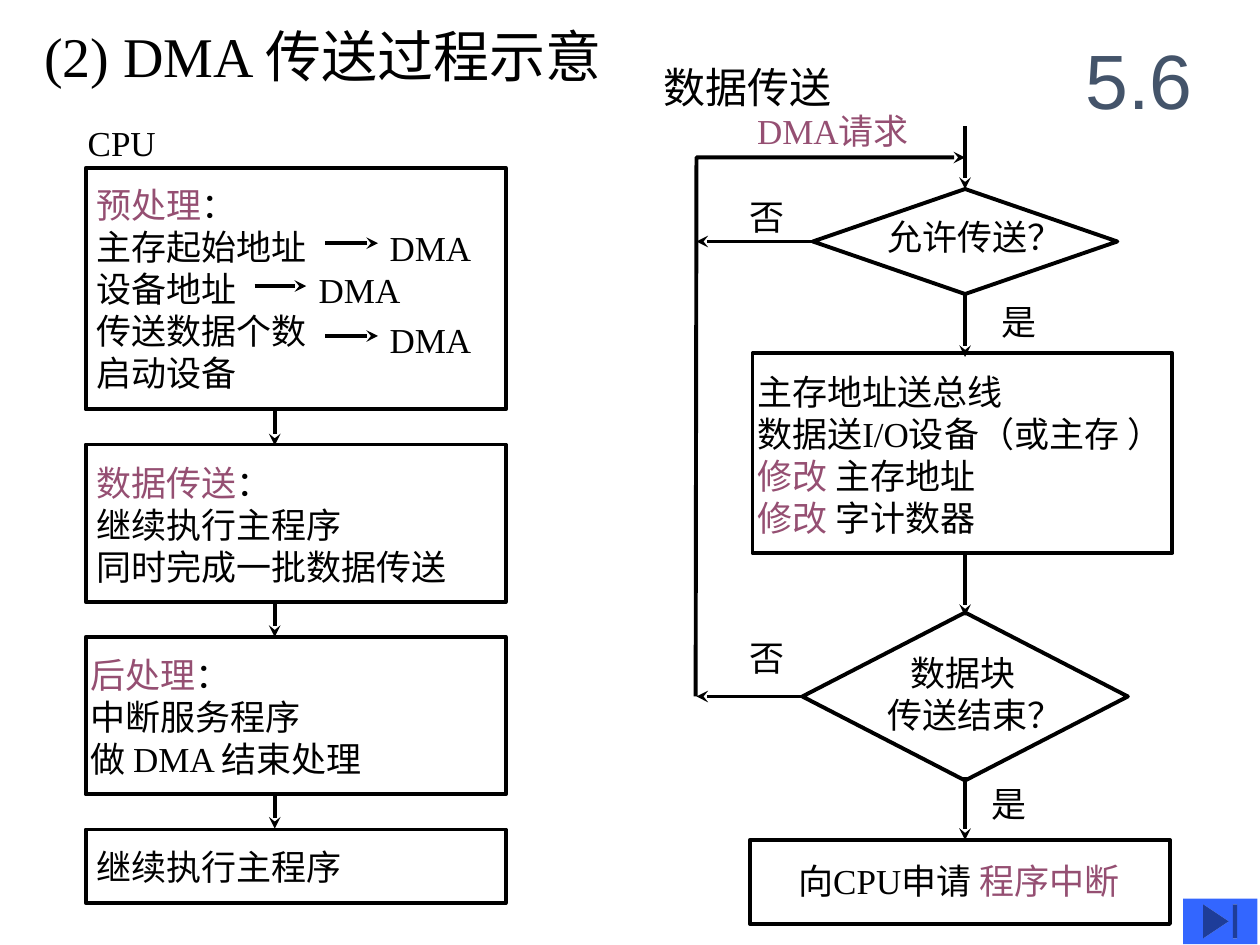
from typing import NamedTuple

from lxml import etree
from pptx import Presentation
from pptx.dml.color import RGBColor
from pptx.enum.shapes import MSO_CONNECTOR, MSO_SHAPE
from pptx.enum.text import MSO_ANCHOR, MSO_AUTO_SIZE, PP_ALIGN
from pptx.oxml.ns import qn
from pptx.util import Pt

RECT, DIAMOND = MSO_SHAPE.RECTANGLE, MSO_SHAPE.DIAMOND
BUTTON = MSO_SHAPE.ACTION_BUTTON_END
STRAIGHT = MSO_CONNECTOR.STRAIGHT
TOP, MIDDLE = MSO_ANCHOR.TOP, MSO_ANCHOR.MIDDLE
LEFT, CENTER = PP_ALIGN.LEFT, PP_ALIGN.CENTER
FIXED = MSO_AUTO_SIZE.NONE
BLACK, ACCENT, SLATE, BLUE = "000000", "954F72", "44546A", "3366FF"
SERIF, SANS = "Times New Roman", "Arial"
STROKE = 2.25
SLACK = 4                    # spare label width, so that no line breaks
LEFT_X, LEFT_W = 49, 240     # boxes of the CPU column
STEP_X, FLOW_X = 157, 551.5  # vertical arrows of each column
LOOP_X = 398                 # return path


class Box(NamedTuple):
    kind: int
    x: float
    y: float
    w: float
    h: float


class Label(NamedTuple):
    x: float
    y: float
    w: float
    lines: list[str]  # text between bars takes the accent colour
    size: float = 20
    indent: float = 0  # indent of the first line


class Arrow(NamedTuple):
    x1: float
    y1: float
    x2: float
    y2: float


BOXES = [
    Box(RECT, LEFT_X, 96, LEFT_W, 138),
    Box(RECT, LEFT_X, 254, LEFT_W, 90),
    Box(RECT, LEFT_X, 364, LEFT_W, 90),
    Box(RECT, LEFT_X, 474, LEFT_W, 42),
    Box(DIAMOND, 464.5, 108, 174, 60),
    Box(RECT, 430, 202, 240, 114),
    Box(DIAMOND, 458.5, 350, 186, 96),
    Box(RECT, 428.5, 480, 240, 48),
]

LABELS = [
    # CPU column
    Label(43, 66, 53, ["CPU"]),
    Label(48, 101.5, 135, ["|预处理|：", "主存起始地址", "设备地址",
                           "传送数据个数", "启动设备"]),
    Label(215.5, 126, 61, ["DMA"]),
    Label(175, 150, 61, ["DMA"]),
    Label(215.5, 178.5, 61, ["DMA"]),
    Label(48, 260, 214.5, ["|数据传送|：", "继续执行主程序", "同时完成一批数据传送"]),
    Label(44.5, 370, 180, ["|后处理|：", "中断服务程序", "做 DMA 结束处理"]),
    Label(48, 479.5, 155, ["继续执行主程序"]),
    # Transfer column
    Label(372, 31.5, 110, ["数据传送"], 24),
    Label(425.5, 59, 106, ["|DMA请求|"]),
    Label(500, 119.5, 114.5, ["允许传送？"]),
    Label(425.5, 208, 255.5, ["主存地址送总线", "数据送I/O设备（或主存 ）",
                              "|修改| 主存地址", "|修改| 字计数器"]),
    Label(500, 368.5, 114.5, ["数据块", "传送结束？"], indent=13),
    Label(449, 487.5, 207.5, ["向CPU申请 |程序中断|"]),
    Label(421, 108, 34.5, ["否"]),
    Label(421, 360, 34.5, ["否"]),
    Label(565, 168, 34.5, ["是"]),
    Label(559.5, 443.5, 34.5, ["是"]),
]

ARROWS = [
    Arrow(186, 139, 216, 139),
    Arrow(145.5, 163.5, 175, 163.5),
    Arrow(186, 192, 216, 192),
    *(Arrow(STEP_X, y, STEP_X, y + 20.5) for y in (234, 343.5, 453)),
    *(Arrow(FLOW_X, y, FLOW_X, y + 36) for y in (72, 168, 316, 444)),
    Arrow(464.5, 138, LOOP_X, 138),
    Arrow(459, 398, LOOP_X, 398),
]


def color(code: str) -> RGBColor:
    return RGBColor.from_string(code)


def style(font, size: float, code: str, face: str = SERIF) -> None:
    font.size, font.name, font.bold = Pt(size), face, False
    font.color.rgb = color(code)


def ink(line) -> None:
    line.color.rgb = color(BLACK)
    line.width = Pt(STROKE)


def add_head(shape) -> None:
    line = shape.line._get_or_add_ln()
    etree.SubElement(line, qn("a:tailEnd"), type="stealth")


def draw_box(shapes, box: Box):
    shape = shapes.add_shape(box.kind, *map(Pt, box[1:]))
    shape.shadow.inherit = False
    shape.fill.background()
    ink(shape.line)
    return shape


def draw_arrow(shapes, arrow: Arrow) -> None:
    line = shapes.add_connector(STRAIGHT, *map(Pt, arrow))
    ink(line.line)
    add_head(line)
    etree.SubElement(line._element.spPr, qn("a:effectLst"))


def draw_loop(shapes, points: list[tuple[float, float]]) -> None:
    spots = [(Pt(x), Pt(y)) for x, y in points]
    build = shapes.build_freeform(*spots[0])
    build.add_line_segments(spots[1:], close=False)
    shape = build.convert_to_shape()
    shape.shadow.inherit = False
    shape.fill.background()
    ink(shape.line)
    add_head(shape)


def draw_label(shapes, label: Label) -> None:
    wide = label.w + SLACK
    high = len(label.lines) * label.size * 1.2 + 7.2
    area = shapes.add_textbox(*map(Pt, (label.x, label.y, wide, high)))
    frame = area.text_frame
    frame.word_wrap = False
    for i, text in enumerate(label.lines):
        para = frame.paragraphs[0] if i == 0 else frame.add_paragraph()
        if i == 0 and label.indent:
            para._p.get_or_add_pPr().set("marL", str(Pt(label.indent)))
        parts = [(part, ACCENT if n % 2 else BLACK)
                 for n, part in enumerate(text.split("|")) if part]
        style(para.font, label.size, parts[0][1])
        for part, code in parts:
            run = para.add_run()
            run.text = part
            if len(parts) > 1:
                run.font.color.rgb = color(code)


def main() -> None:
    deck = Presentation()
    deck.slide_width, deck.slide_height = Pt(720), Pt(540)
    slide = deck.slides.add_slide(deck.slide_layouts[5])
    shapes = slide.shapes

    # Title and section number
    title = shapes.title
    mark = shapes.add_textbox(Pt(606), Pt(12), Pt(90), Pt(66))
    title.left, title.top, title.width, title.height = map(Pt, (18, 8.5, 366, 46))
    for area, text, anchor, align, size, code, face in (
        (title, "(2) DMA 传送过程示意", TOP, LEFT, 32, BLACK, SERIF),
        (mark, "5.6", MIDDLE, CENTER, 44, SLATE, SANS),
    ):
        frame = area.text_frame
        frame.text = text
        frame.word_wrap, frame.auto_size = True, FIXED
        frame.vertical_anchor = anchor
        frame.paragraphs[0].alignment = align
        style(frame.paragraphs[0].font, size, code, face)

    # Flow charts
    for box in BOXES:
        draw_box(shapes, box)
    for label in LABELS:
        draw_label(shapes, label)
    for arrow in ARROWS:
        draw_arrow(shapes, arrow)
    draw_loop(shapes, [(397.5, 398), (LOOP_X, 90), (FLOW_X, 90)])

    # Button in the corner
    button = draw_box(shapes, Box(BUTTON, 676, 513.5, 42.5, 26))
    button.fill.solid()
    button.fill.fore_color.rgb = color(BLUE)
    button.line.fill.background()

    deck.save("out.pptx")


if __name__ == "__main__":
    main()
